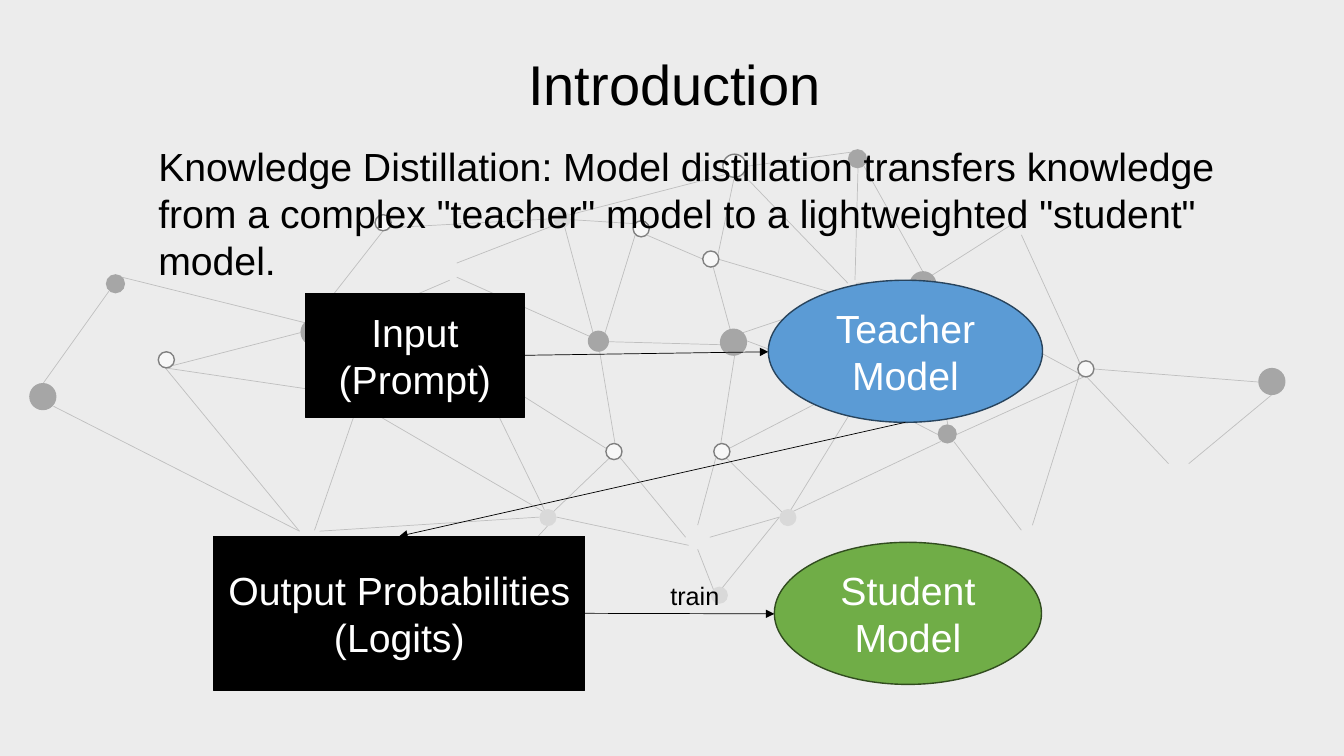
import pptx
import pptx.util
import pptx.dml.color
import pptx.enum.shapes
import pptx.enum.text
import pptx.oxml
import pptx.oxml.ns

Inches = pptx.util.Inches
SHAPE = pptx.enum.shapes.MSO_SHAPE
ALIGN = pptx.enum.text.PP_ALIGN
ANCHOR = pptx.enum.text.MSO_ANCHOR

COLORS = {
    "background": "ECECEC", "black": "000000", "white": "FFFFFF",
    "edge": "BFBFBF", "dark": "A6A6A6", "pale": "D9D9D9",
    "hollow": "F7F7F7", "ring": "808080",
    "teacher": "5B9BD5", "teacher_line": "28445D",
    "student": "70AD47", "student_line": "314C1F",
}

# Start x, start y, end x, end y
EDGES = [
    (1.21, 2.75, 3.02, 3.2), (8.41, 2.95, 7.37, 3.3), (8.53, 2.89, 8.5, 3.72),
    (9.17, 2.77, 8.49, 2.81), (10.13, 2.33, 10.71, 3.6), (9.12, 2.81, 10.03, 2.23),
    (9.15, 2.96, 9.4, 4.21), (9.25, 2.92, 10.71, 3.71), (7.21, 4.46, 8.37, 3.86),
    (9.15, 2.69, 8.57, 1.65), (8.41, 2.95, 7.12, 2.57), (7.4, 1.65, 8.44, 1.51),
    (8.48, 2.78, 8.51, 1.67), (7.28, 1.77, 7.11, 2.58), (7.06, 2.6, 7.27, 3.37),
    (7.35, 3.36, 8.41, 3.76), (7.3, 3.44, 7.13, 4.52), (7.37, 1.73, 8.41, 2.81),
    (10.84, 3.66, 12.48, 3.79), (10.24, 5.21, 10.71, 3.71), (11.59, 4.6, 10.77, 3.73),
    (9.49, 4.31, 10.77, 3.73), (9.3, 4.31, 8.6, 3.95), (9.46, 4.38, 10.13, 5.26),
    (7.87, 5.19, 7.17, 4.51), (9.33, 4.38, 7.81, 5.1), (8.5, 3.99, 7.83, 5.08),
    (7.73, 5.13, 7.04, 5.33), (7.1, 4.54, 6.92, 5.21), (7.15, 3.42, 6.03, 3.39),
    (7.73, 5.13, 7.1, 5.91), (7.1, 5.91, 6.92, 5.45), (11.79, 4.6, 12.61, 3.92),
    (4.46, 2.78, 3.25, 3.3), (2.98, 3.3, 1.7, 3.63), (6.03, 4.46, 5, 3.81),
    (3.12, 3.16, 3.8, 2.29), (5.49, 2.17, 3.85, 2.26), (5.5, 2.17, 7.2, 1.73),
    (5.52, 2.17, 6.3, 2.22), (6.3, 2.33, 5.98, 3.37), (5.9, 3.36, 4.53, 2.75),
    (5.94, 3.44, 6.12, 4.52), (5.6, 2.25, 5.9, 3.37), (5.51, 2.23, 4.53, 2.61),
    (2.97, 5.27, 1.64, 3.65), (3.53, 3.93, 1.64, 3.65), (3.53, 4.07, 3.12, 5.26),
    (5.37, 5.19, 6.08, 4.51), (3.66, 4.07, 5.43, 5.1), (4.86, 3.95, 5.41, 5.08),
    (4.79, 5.91, 5.43, 5.22), (3.17, 5.27, 5.35, 5.13), (5.52, 5.13, 6.83, 5.41),
    (6.15, 4.54, 6.8, 5.33), (6.41, 2.33, 6.97, 2.57), (0.43, 3.8, 1.08, 2.89),
    (0.53, 4.03, 2.97, 5.27),
]

# Fill, line, diameter and the left, top corners of the nodes
NODES = [
    ("dark", None, 0.27, [(9.02, 2.69), (12.48, 3.65), (2.98, 3.16), (7.14, 3.26), (0.29, 3.8)]),
    ("dark", None, 0.21, [(5.83, 3.28)]),
    ("dark", None, 0.19, [(8.41, 1.48), (9.3, 4.21), (1.05, 2.72)]),
    ("pale", None, 0.27, [(8.37, 3.72)]),
    ("pale", None, 0.17, [(7.73, 5.05), (5.49, 2.09), (5.35, 5.05), (7.05, 5.82)]),
    ("hollow", "ring", 0.16, [(10.69, 3.58), (6.97, 2.49), (7.08, 4.4), (1.57, 3.49),
                              (3.72, 2.13), (6.28, 2.19), (6.01, 4.4)]),
    ("hollow", "ring", 0.23, [(7.17, 1.53)]),
]


def rgb(name):
    return pptx.dml.color.RGBColor.from_string(COLORS[name])


def add_xml(parent, tag, **attributes):
    child = pptx.oxml.parse_xml(f'<a:{tag} {pptx.oxml.ns.nsdecls("a")}/>')
    for name, value in attributes.items():
        child.set(name, value)
    parent.append(child)


def write(tf, text, size=28, color="black", align=ALIGN.LEFT, anchor=ANCHOR.TOP, wrap=True):
    """Fill a text frame, one paragraph per line of text."""
    tf.text = text
    tf.word_wrap = wrap
    tf.auto_size = pptx.enum.text.MSO_AUTO_SIZE.NONE
    tf.vertical_anchor = anchor
    for p in tf.paragraphs:
        p.alignment = align
        p.space_before = pptx.util.Pt(0)
        for r in p.runs:
            r.font.name = "Arial"
            r.font.size = pptx.util.Pt(size)
            r.font.color.rgb = rgb(color)


class SlideBuilder:
    def __init__(self, slide):
        self.slide = slide
        self.shapes = slide.shapes
        slide.background.fill.solid()
        slide.background.fill.fore_color.rgb = rgb("background")

    def placeholder(self, index, box, text, **style):
        """Place a template placeholder in front of everything drawn so far."""
        sp = self.slide.placeholders[index]
        sp.left, sp.top, sp.width, sp.height = map(Inches, box)
        sp.element.getparent().append(sp.element)
        write(sp.text_frame, text, **style)
        return sp

    def body(self, index, box, text):
        sp = self.placeholder(index, box, text)
        for p in sp.text_frame.paragraphs:
            pPr = p._p.get_or_add_pPr()
            pPr.set("marL", "0")
            pPr.set("indent", "0")
            add_xml(pPr, "buNone")

    def label(self, box, text, **style):
        sp = self.shapes.add_textbox(*map(Inches, box))
        write(sp.text_frame, text, **style)

    def shape(self, kind, box, fill, line=None, text=None):
        sp = self.shapes.add_shape(kind, *map(Inches, box))
        sp.shadow.inherit = False
        sp.fill.solid()
        sp.fill.fore_color.rgb = rgb(fill)
        if line:
            sp.line.color.rgb = rgb(line)
            sp.line.width = pptx.util.Pt(1)
        else:
            sp.line.fill.background()
        if text:
            write(sp.text_frame, text, color="white", align=ALIGN.CENTER, anchor=ANCHOR.MIDDLE)
        return sp

    def line(self, ends, color="edge"):
        straight = pptx.enum.shapes.MSO_CONNECTOR.STRAIGHT
        connector = self.shapes.add_connector(straight, *map(Inches, ends))
        connector.line.color.rgb = rgb(color)
        connector.line.width = pptx.util.Pt(0.5)
        add_xml(connector.element.spPr, "effectLst")
        return connector

    def arrow(self, ends):
        connector = self.line(ends, "black")
        add_xml(connector.line._get_or_add_ln(), "tailEnd", type="triangle")
        return connector


def main():
    prs = pptx.Presentation()
    prs.slide_width, prs.slide_height = Inches(13.33), Inches(7.5)
    s = SlideBuilder(prs.slides.add_slide(prs.slide_layouts[1]))

    for ends in EDGES:
        s.line(ends)
    for fill, line, size, corners in NODES:
        for left, top in corners:
            s.shape(SHAPE.OVAL, (left, top, size, size), fill, line)

    s.placeholder(0, (4.56, 0.44, 4.26, 0.77), "Introduction", size=40, align=ALIGN.CENTER)
    s.body(1, (1.47, 1.36, 11.15, 1.51),
           "Knowledge Distillation: Model distillation transfers knowledge from a complex "
           "\"teacher\" model to a lightweighted \"student\" model.")

    prompt = s.shape(SHAPE.RECTANGLE, (3.03, 2.91, 2.17, 1.23), "black", "black", "Input\n(Prompt)")
    s.arrow((5.2, 3.53, 7.62, 3.49)).begin_connect(prompt, 3)
    s.shape(SHAPE.OVAL, (7.62, 2.78, 2.72, 1.41), "teacher", "teacher_line", "Teacher Model")
    logits = s.shape(SHAPE.RECTANGLE, (2.12, 5.32, 3.68, 1.53), "black", "black",
                     "Output Probabilities\n(Logits)")
    s.arrow((8.98, 4.19, 3.95, 5.32)).end_connect(logits, 0)
    s.arrow((5.8, 6.09, 7.68, 6.09)).begin_connect(logits, 3)
    s.label((6.55, 5.71, 0.69, 0.4), "train", size=18, wrap=False)
    s.shape(SHAPE.OVAL, (7.68, 5.38, 2.65, 1.41), "student", "student_line", "Student Model")

    prs.save("out.pptx")


if __name__ == "__main__":
    main()
